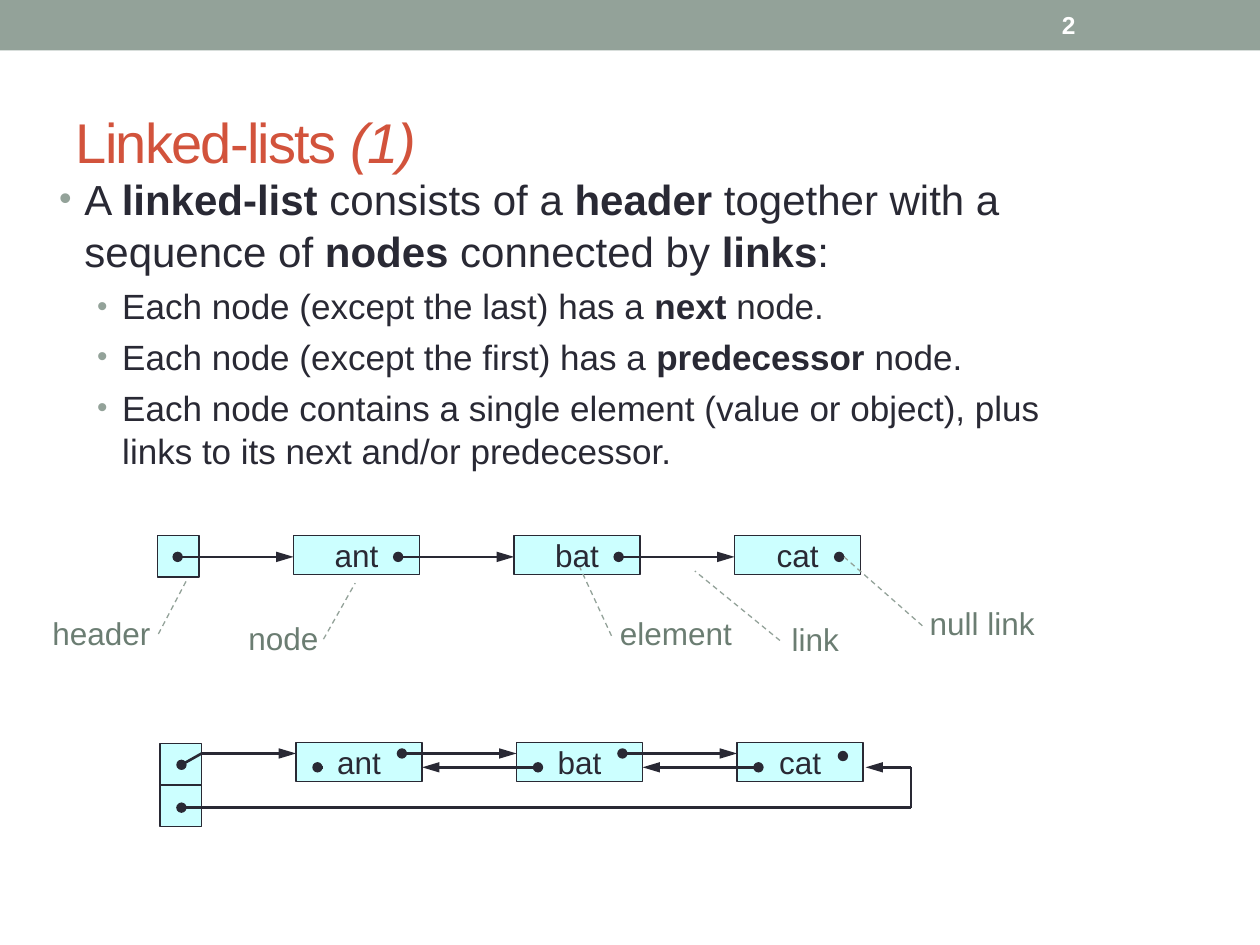
from lxml import etree
from pptx import Presentation
from pptx.dml.color import RGBColor
from pptx.enum.dml import MSO_LINE
from pptx.enum.shapes import MSO_CONNECTOR, MSO_SHAPE
from pptx.enum.text import MSO_ANCHOR, MSO_AUTO_SIZE, PP_ALIGN
from pptx.oxml.ns import qn
from pptx.util import Inches, Pt

RECTANGLE = MSO_SHAPE.RECTANGLE
CALLOUT = MSO_SHAPE.LINE_CALLOUT_1_NO_BORDER
STRAIGHT = MSO_CONNECTOR.STRAIGHT
DASH = MSO_LINE.DASH
TOP, MIDDLE = MSO_ANCHOR.TOP, MSO_ANCHOR.MIDDLE
LEFT, CENTER = PP_ALIGN.LEFT, PP_ALIGN.CENTER
NO_FIT = MSO_AUTO_SIZE.NONE

FONT = "Arial"
DARK, SAGE, LABEL = "292934", "93A299", "6B7D72"
RED, CYAN, WHITE = "D2533C", "CCFFFF", "FFFFFF"

WORDS = ["ant", "bat", "cat"]
NODE_OFFSET, NODE_STEP = 1.08, 1.75
NODE_WIDTH, NODE_HEIGHT = 1, 0.31
HEADER_SIZE = 0.33

BULLETS = [
    (0, [("A ", False), ("linked-list", True), (" consists of a ", False),
         ("header", True), (" together with a sequence of ", False),
         ("nodes", True), (" connected by ", False), ("links", True), (":", False)]),
    (1, [("Each node (except the last) has a ", False), ("next ", True),
         ("node.", False)]),
    (1, [("Each node (except the first) has a ", False), ("predecessor", True),
         (" node.", False)]),
    (1, [("Each node contains a single element (value or object), plus links "
          "to its next and/or predecessor.", False)]),
]

CALLOUTS = [
    ("header", (0.37, 4.92, 0.87, 0.31), (0.36, 1.02, -1.03, 1.28)),
    ("null link", (7.33, 4.84, 0.93, 0.27), (0.47, -0.01, -1.56, -0.68)),
    ("link", (6.22, 4.97, 0.5, 0.27), (0.42, -0.06, -1.62, -1.41)),
    ("node", (1.95, 4.96, 0.6, 0.27), (0.42, 1.03, -1.23, 1.45)),
    ("element", (4.9, 4.92, 0.93, 0.27), (0.47, -0.05, -1.54, -0.32)),
]


def color(value):
    return RGBColor.from_string(value)


def inches(*values):
    return [Inches(value) for value in values]


def set_font(font, size, value, bold=None):
    font.name, font.size, font.bold = FONT, Pt(size), bold
    font.color.rgb = color(value)


def set_line(shape, value, width):
    shape.line.color.rgb = color(value)
    shape.line.width = Pt(width)


def place(shape, box):
    shape.left, shape.top, shape.width, shape.height = inches(*box)


def add_bullet(paragraph, level):
    properties = paragraph._p.get_or_add_pPr()
    properties.set("marL", str(Inches((0.2, 0.5)[level])))
    properties.set("indent", str(Inches(-0.2)))
    bullet_color = etree.SubElement(properties, qn("a:buClr"))
    etree.SubElement(bullet_color, qn("a:srgbClr"), val=SAGE)
    etree.SubElement(properties, qn("a:buSzPct"), val="85000")
    etree.SubElement(properties, qn("a:buFont"), typeface=FONT)
    etree.SubElement(properties, qn("a:buChar"), char="•")


def add_ends(shape, head, tail):
    line = shape.line._get_or_add_ln()
    if head:
        etree.SubElement(line, qn("a:headEnd"), type="oval")
    if tail:
        etree.SubElement(line, qn("a:tailEnd"), type="triangle", w="med", len="lg")


def add_link(group, start, end, head=True, tail=True):
    link = group.shapes.add_connector(STRAIGHT, *inches(*start, *end))
    etree.SubElement(link._element.spPr, qn("a:effectLst"))
    set_line(link, DARK, 1.5)
    add_ends(link, head, tail)


def add_bent_link(group, points):
    start, *rest = [inches(*point) for point in points]
    builder = group.shapes.build_freeform(*start)
    builder.add_line_segments(rest, close=False)
    link = builder.convert_to_shape()
    link.shadow.inherit = False
    link.fill.background()
    set_line(link, DARK, 1.5)
    add_ends(link, True, True)


def add_cell(group, left, top, width, height):
    cell = group.shapes.add_shape(RECTANGLE, *inches(left, top, width, height))
    cell.shadow.inherit = False
    cell.fill.solid()
    cell.fill.fore_color.rgb = color(CYAN)
    set_line(cell, DARK, 0.75)
    return cell


def write_centered(shape, text, value, anchor):
    frame = shape.text_frame
    frame.margin_left = frame.margin_right = frame.margin_top = frame.margin_bottom = 0
    frame.word_wrap = True
    frame.vertical_anchor = anchor
    paragraph = frame.paragraphs[0]
    paragraph.text = text
    paragraph.alignment = CENTER
    set_font(paragraph.font, 18, value)
    return paragraph


def add_nodes(group, left, top):
    lefts = [left + NODE_OFFSET + NODE_STEP * index for index in range(len(WORDS))]
    for word, node_left in zip(WORDS, lefts):
        node = add_cell(group, node_left, top, NODE_WIDTH, NODE_HEIGHT)
        write_centered(node, word, DARK, MIDDLE)
    return lefts


def add_forward_links(group, lefts, y, null_y, offset):
    for node_left, next_left in zip(lefts, lefts[1:]):
        add_link(group, (node_left + offset, y), (next_left, y))
    null_x = lefts[-1] + offset
    add_link(group, (null_x, null_y), (null_x + 0.04, null_y), tail=False)


def add_singly_linked_list(slide, left, top):
    group = slide.shapes.add_group_shape()
    middle = top + 0.17
    add_cell(group, left, top, HEADER_SIZE, HEADER_SIZE)
    lefts = add_nodes(group, left, top)
    add_link(group, (left + 0.16, middle), (lefts[0], middle))
    add_forward_links(group, lefts, middle, middle, 0.83)


def add_doubly_linked_list(slide, left, top):
    group = slide.shapes.add_group_shape()
    next_y, back_y, last_y = top + 0.09, top + 0.2, top + 0.52
    dot_x, corner_x = left + 0.17, left + 5.96
    for row in range(2):
        add_cell(group, left, top + 0.01 + HEADER_SIZE * row, HEADER_SIZE, HEADER_SIZE)
    lefts = add_nodes(group, left, top)
    add_forward_links(group, lefts, next_y, top + 0.11, 0.84)
    add_bent_link(group, [(dot_x, top + 0.18), (left + HEADER_SIZE, next_y),
                          (lefts[0], next_y)])
    for previous_left, node_left in zip(lefts, lefts[1:]):
        add_link(group, (node_left + 0.17, back_y), (previous_left + NODE_WIDTH, back_y))
    null_x = lefts[0] + 0.17
    add_link(group, (null_x, back_y), (null_x + 0.04, back_y), tail=False)
    add_link(group, (dot_x, last_y), (corner_x, last_y), tail=False)
    add_link(group, (corner_x, last_y), (corner_x, back_y), head=False, tail=False)
    add_link(group, (corner_x, back_y), (lefts[-1] + 1.02, back_y), head=False)


def add_callout(slide, text, box, adjustments):
    callout = slide.shapes.add_shape(CALLOUT, *inches(*box))
    callout.shadow.inherit = False
    callout.fill.background()
    set_line(callout, SAGE, 0.75)
    callout.line.dash_style = DASH
    for index, value in enumerate(adjustments):
        callout.adjustments[index] = value
    write_centered(callout, text, LABEL, TOP).line_spacing = Pt(18)


def add_top_bar(slide, box):
    bar = slide.shapes.add_shape(RECTANGLE, *inches(*box))
    bar.shadow.inherit = False
    bar.fill.solid()
    bar.fill.fore_color.rgb = color(SAGE)
    bar.line.fill.background()
    number = slide.shapes.add_textbox(*inches(8.33, 0.02, 1.17, 0.36))
    number.text_frame.word_wrap = True
    number.text_frame.vertical_anchor = MIDDLE
    paragraph = number.text_frame.paragraphs[0]
    paragraph.text = "2"
    set_font(paragraph.font, 14, WHITE, True)


def fill_title(title, box):
    place(title, box)
    frame = title.text_frame
    frame.auto_size, frame.vertical_anchor = NO_FIT, MIDDLE
    paragraph = frame.paragraphs[0]
    paragraph.alignment = LEFT
    for text, italic in [("Linked-lists ", False), ("(1)", True)]:
        run = paragraph.add_run()
        run.text = text
        set_font(run.font, 32, RED)
        run.font.italic = italic
        run._r.get_or_add_rPr().set("spc", "-100")


def fill_body(body, box):
    place(body, box)
    frame = body.text_frame
    frame.auto_size = NO_FIT
    for index, (level, runs) in enumerate(BULLETS):
        paragraph = frame.add_paragraph() if index else frame.paragraphs[0]
        paragraph.level = level
        add_bullet(paragraph, level)
        paragraph.space_before = Pt(4 if index else 0)
        paragraph.line_spacing = 1.04
        set_font(paragraph.font, (24, 20)[level], DARK)
        for text, bold in runs:
            run = paragraph.add_run()
            run.text, run.font.bold = text, bold


def main():
    presentation = Presentation()
    presentation.slide_width, presentation.slide_height = inches(10, 7.5)
    slide = presentation.slides.add_slide(presentation.slide_layouts[1])
    add_top_bar(slide, (0, 0, 10, 0.4))
    fill_title(slide.shapes.title, (0.5, 0.58, 9, 1.08))
    fill_body(slide.placeholders[1], (0.37, 1.31, 8.33, 5.25))
    add_singly_linked_list(slide, 1.25, 4.25)
    for callout in CALLOUTS:
        add_callout(slide, *callout)
    add_doubly_linked_list(slide, 1.27, 5.89)
    presentation.save("out.pptx")


if __name__ == "__main__":
    main()
